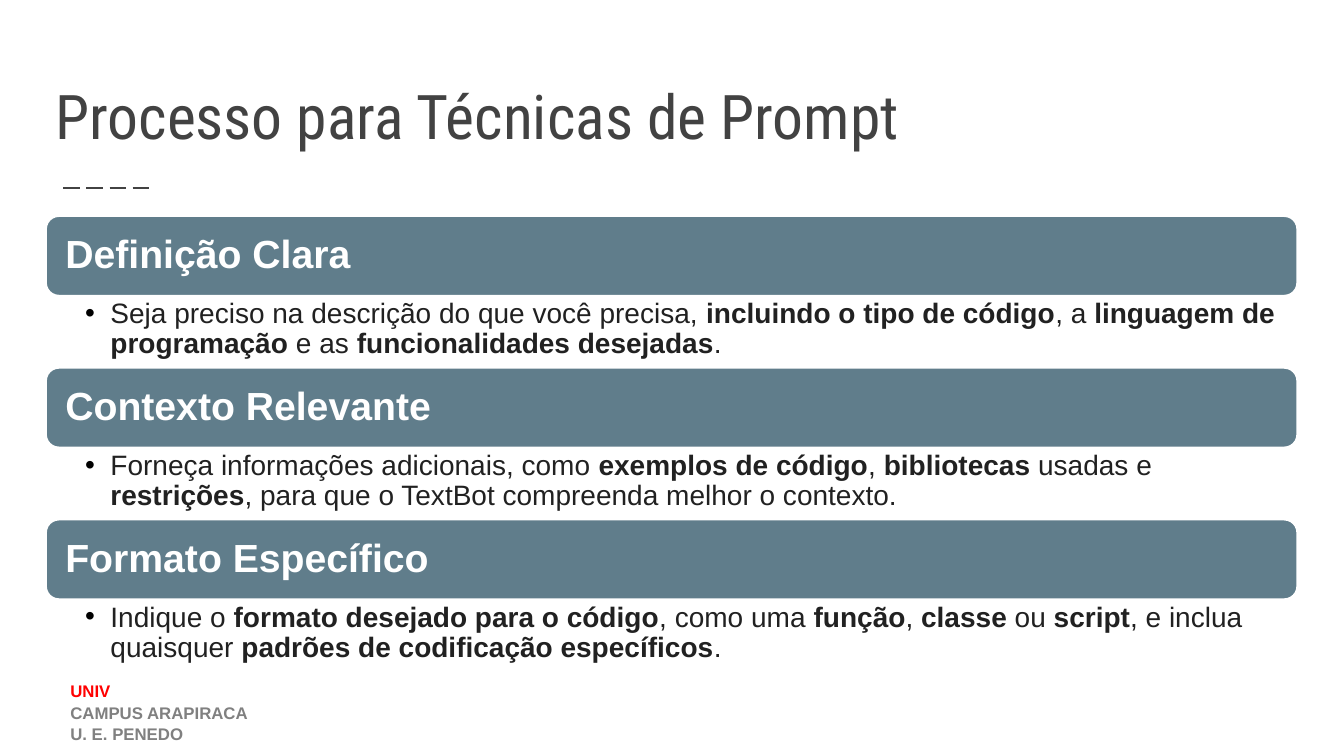
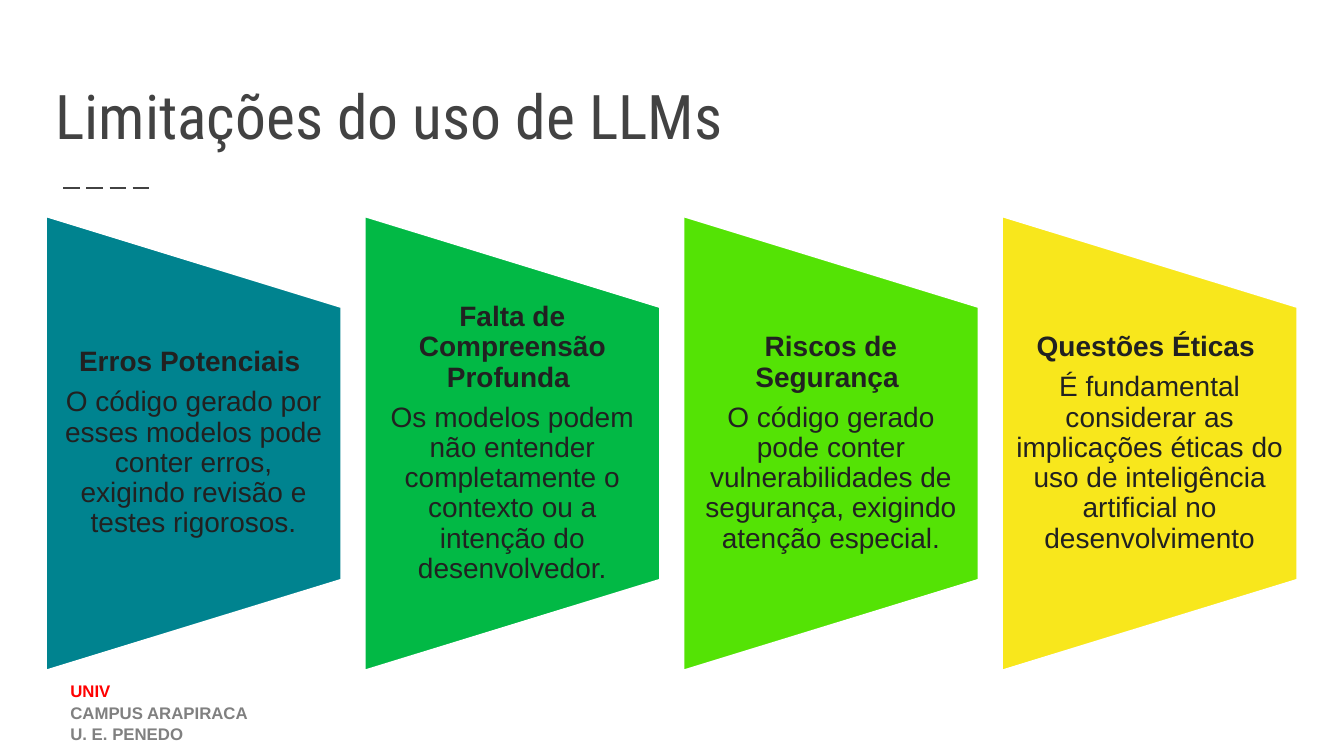
from lxml import etree
from pptx import Presentation
from pptx.dml.color import RGBColor
from pptx.enum.dml import MSO_LINE
from pptx.enum.shapes import MSO_CONNECTOR, MSO_SHAPE
from pptx.enum.text import MSO_ANCHOR, PP_ALIGN
from pptx.oxml.ns import qn
from pptx.util import Pt

ROUNDED, TRAPEZOID = MSO_SHAPE.ROUNDED_RECTANGLE, MSO_SHAPE.FLOWCHART_MANUAL_OPERATION
STRAIGHT, LONG_DASH = MSO_CONNECTOR.STRAIGHT, MSO_LINE.LONG_DASH
TOP, MIDDLE, BOTTOM = MSO_ANCHOR.TOP, MSO_ANCHOR.MIDDLE, MSO_ANCHOR.BOTTOM
LEFT, CENTER = PP_ALIGN.LEFT, PP_ALIGN.CENTER

WHITE = RGBColor(0xFF, 0xFF, 0xFF)
RED = RGBColor(0xFF, 0x00, 0x00)
GRAY = RGBColor(0x80, 0x80, 0x80)
CHARCOAL = RGBColor(0x42, 0x42, 0x42)
INK = RGBColor(0x21, 0x21, 0x21)
SLATE = RGBColor(0x60, 0x7D, 0x8B)
TEAL = RGBColor(0x00, 0x83, 0x8F)
GREEN = RGBColor(0x02, 0xB9, 0x45)
LIME = RGBColor(0x54, 0xE3, 0x05)
YELLOW = RGBColor(0xF8, 0xE7, 0x1C)

TITLE_FONT = {"name": "Roboto Condensed", "size": Pt(44)}
BAND_FONT = {"name": "Arial", "size": Pt(28), "bold": True}
BODY_FONT = {"name": "Arial", "size": Pt(20), "bold": False}
STRONG_FONT = {**BODY_FONT, "bold": True}
FOOTER_FONT = {"name": "Arial", "size": Pt(12), "bold": True}

FOOTER = [("UNIV", RED), ("CAMPUS ARAPIRACA", GRAY), ("U. E. PENEDO", GRAY)]

# Runs alternate between regular and bold, starting with regular.
PROCESS_TITLE = "Processo para Técnicas de Prompt"
PROCESS_STEPS = [
    ("Definição Clara", [
        "Seja preciso na descrição do que você precisa, ", "incluindo o tipo de código",
        ", a ", "linguagem de programação ", "e as ", "funcionalidades desejadas", "."]),
    ("Contexto Relevante", [
        "Forneça informações adicionais, como ", "exemplos de código", ", ", "bibliotecas",
        " usadas e ", "restrições", ", para que o TextBot compreenda melhor o contexto."]),
    ("Formato Específico", [
        "Indique o ", "formato desejado para o código", ", como uma ", "função", ", ", "classe",
        " ou ", "script", ", e inclua quaisquer ", "padrões de codificação específicos", "."]),
]

LIMITS_TITLE = "Limitações do uso de LLMs"
LIMITS = [
    ("Erros Potenciais ", TEAL,
     "O código gerado por esses modelos pode conter erros, exigindo revisão e testes rigorosos."),
    ("Falta de Compreensão Profunda ", GREEN,
     "Os modelos podem não entender completamente o contexto ou a intenção do desenvolvedor."),
    ("Riscos de Segurança ", LIME,
     "O código gerado pode conter vulnerabilidades de segurança, exigindo atenção especial."),
    ("Questões Éticas ", YELLOW,
     "É fundamental considerar as implicações éticas do uso de inteligência artificial "
     "no desenvolvimento"),
]

SLIDE_WIDTH, SLIDE_HEIGHT = 960, 540
CONTENT_LEFT, CONTENT_TOP, CONTENT_WIDTH = 32.5, 154, 894.5
BAND_HEIGHT, BODY_HEIGHT = 57.6, 50.8
CARD_WIDTH, CARD_HEIGHT, CARD_TEXT_HEIGHT = 211.6, 325.4, 195.2


def set_values(target, values):
    for name, value in values.items():
        setattr(target, name, value)


def set_frame(shape, insets, anchor):
    sides = ("margin_left", "margin_top", "margin_right", "margin_bottom")
    values = {side: Pt(inset) for side, inset in zip(sides, insets)}
    set_values(shape.text_frame, {**values, "word_wrap": True, "vertical_anchor": anchor})


def add_text_box(slide, left, top, width, height, insets, anchor=TOP):
    box = slide.shapes.add_textbox(Pt(left), Pt(top), Pt(width), Pt(height))
    set_frame(box, insets, anchor)
    return box.text_frame


def write_paragraphs(frame, paragraphs, **paragraph_format):
    for index, runs in enumerate(paragraphs):
        paragraph = frame.add_paragraph() if index else frame.paragraphs[0]
        set_values(paragraph, paragraph_format)
        for text, font, color in runs:
            run = paragraph.add_run()
            run.text = text
            set_values(run.font, font)
            run.font.color.rgb = color


def add_filled_shape(slide, kind, left, top, width, height, color):
    shape = slide.shapes.add_shape(kind, Pt(left), Pt(top), Pt(width), Pt(height))
    shape.shadow.inherit = False
    shape.fill.solid()
    shape.fill.fore_color.rgb = color
    shape.line.color.rgb = WHITE
    shape.line.width = Pt(2)
    return shape


def add_bullet(paragraph):
    properties = paragraph._p.get_or_add_pPr()
    properties.set("marL", str(Pt(18)))
    properties.set("indent", str(-Pt(18)))
    color = etree.SubElement(properties, qn("a:buClr"))
    etree.SubElement(color, qn("a:srgbClr"), val="000000")
    etree.SubElement(properties, qn("a:buFont"), typeface="Arial")
    etree.SubElement(properties, qn("a:buChar"), char="•")


def add_base_slide(presentation, title):
    slide = presentation.slides.add_slide(presentation.slide_layouts[6])
    rule = slide.shapes.add_connector(STRAIGHT, Pt(45.2), Pt(134), Pt(109.2), Pt(134))
    set_values(rule.line, {"width": Pt(1.5), "dash_style": LONG_DASH})
    rule.line.color.rgb = CHARCOAL
    etree.SubElement(rule._element.spPr, qn("a:effectLst"))
    footer = add_text_box(slide, 43.2, 483, 440, 51, (7.2, 3.6, 7.2, 3.6))
    write_paragraphs(footer, [[(text, FOOTER_FONT, color)] for text, color in FOOTER],
                     space_after=Pt(0.9))
    heading = add_text_box(slide, CONTENT_LEFT, 39, CONTENT_WIDTH, 77, (7.2,) * 4, BOTTOM)
    write_paragraphs(heading, [[(title, TITLE_FONT, CHARCOAL)]])
    return slide


def build_process(presentation):
    slide = add_base_slide(presentation, PROCESS_TITLE)
    for index, (heading, texts) in enumerate(PROCESS_STEPS):
        top = CONTENT_TOP + index * (BAND_HEIGHT + BODY_HEIGHT)
        band = add_filled_shape(slide, ROUNDED, CONTENT_LEFT, top,
                                CONTENT_WIDTH, BAND_HEIGHT, SLATE)
        set_frame(band, (11.4, 8.4, 11.4, 8.4), MIDDLE)
        write_paragraphs(band.text_frame, [[(heading, BAND_FONT, WHITE)]],
                         alignment=LEFT, line_spacing=0.9)
        body = add_text_box(slide, CONTENT_LEFT, top + BAND_HEIGHT, CONTENT_WIDTH,
                            BODY_HEIGHT, (28.4, 2.2, 11.5, 2.2))
        runs = [(text, STRONG_FONT if position % 2 else BODY_FONT, INK)
                for position, text in enumerate(texts)]
        write_paragraphs(body, [runs], line_spacing=0.9)
        add_bullet(body.paragraphs[0])


def build_limits(presentation):
    slide = add_base_slide(presentation, LIMITS_TITLE)
    step = (CONTENT_WIDTH - CARD_WIDTH) / (len(LIMITS) - 1)
    turn_offset = (CARD_HEIGHT - CARD_WIDTH) / 2
    text_top = CONTENT_TOP + (CARD_HEIGHT - CARD_TEXT_HEIGHT) / 2
    for index, (heading, color, text) in enumerate(LIMITS):
        left = CONTENT_LEFT + index * step
        card = add_filled_shape(slide, TRAPEZOID, left - turn_offset, CONTENT_TOP + turn_offset,
                                CARD_HEIGHT, CARD_WIDTH, color)
        card.rotation = 270
        frame = add_text_box(slide, left, text_top, CARD_WIDTH, CARD_TEXT_HEIGHT,
                             (10, 0, 10, 0), MIDDLE)
        write_paragraphs(frame, [[(heading, STRONG_FONT, INK)], [(text, BODY_FONT, INK)]],
                         alignment=CENTER, line_spacing=0.9, space_after=Pt(7))


def main():
    presentation = Presentation()
    set_values(presentation, {"slide_width": Pt(SLIDE_WIDTH), "slide_height": Pt(SLIDE_HEIGHT)})
    build_process(presentation)
    build_limits(presentation)
    presentation.save("out.pptx")


if __name__ == "__main__":
    main()
